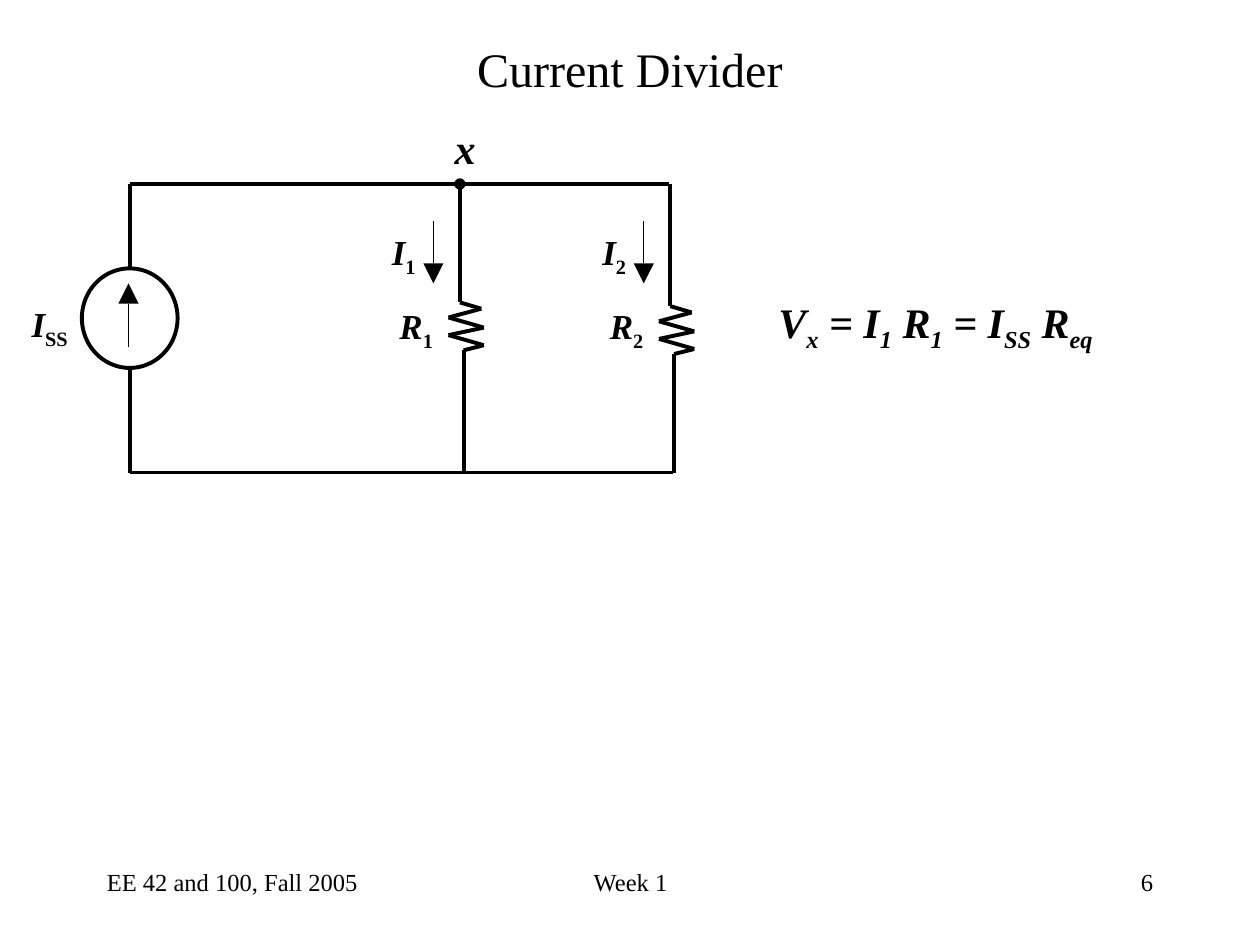
from itertools import pairwise

from lxml import etree
from pptx import Presentation
from pptx import util as u
from pptx.dml.color import RGBColor
from pptx.enum import shapes, text
from pptx.oxml.ns import qn

FONT = "Times New Roman"
BLACK, WHITE = "000000", "FFFFFF"
HEAVY, THIN = 2.25, 0.75
TOP, BOTTOM = 1.46, 3.75
SOURCE_X = 1.03
BRANCH_STEP = 1.67
ZIGZAG = [(3.65, 2.21), (3.65, 2.4), (3.82, 2.45), (3.56, 2.52), (3.84, 2.6),
          (3.56, 2.66), (3.84, 2.74), (3.68, 2.78), (3.68, 2.98)]


def color(value):
    return RGBColor.from_string(value)


def inches(*values):
    return [u.Inches(value) for value in values]


def paint(shape, fill, width):
    shape.shadow.inherit = False
    shape.fill.solid()
    shape.fill.fore_color.rgb = color(fill)
    if width:
        shape.line.color.rgb = color(BLACK)
        shape.line.width = u.Pt(width)
    else:
        shape.line.fill.background()


def style(paragraph, size, bold=False, align=text.PP_ALIGN.LEFT):
    paragraph.alignment = align
    paragraph.font.name = FONT
    paragraph.font.size = u.Pt(size)
    paragraph.font.bold = bold
    paragraph.font.color.rgb = color(BLACK)


def add_line(parent, start, end, width=HEAVY):
    line = parent.shapes.add_connector(
        shapes.MSO_CONNECTOR.STRAIGHT, *inches(*start, *end))
    line.line.color.rgb = color(BLACK)
    line.line.width = u.Pt(width)
    etree.SubElement(line._element.spPr, qn("a:effectLst"))


def add_circle(slide, box, fill, width):
    circle = slide.shapes.add_shape(shapes.MSO_SHAPE.OVAL, *inches(*box))
    paint(circle, fill, width)


def add_resistor(slide, dx, dy):
    group = slide.shapes.add_group_shape()
    points = [(x + dx, y + dy) for x, y in ZIGZAG]
    for start, end in pairwise(points):
        add_line(group, start, end)


def add_current_arrow(slide, x, tail, tip):
    group = slide.shapes.add_group_shape()
    base = tip - 0.16 if tip > tail else tip + 0.16
    add_line(group, (x, tail), (x, base), THIN)
    builder = group.shapes.build_freeform(*inches(x - 0.08, base), scale=1.0)
    builder.add_line_segments([inches(x, tip), inches(x + 0.08, base)], close=True)
    paint(builder.convert_to_shape(), BLACK, None)


def add_text_box(slide, box, margins=(0.1, 0.05), wrap=True):
    frame = slide.shapes.add_textbox(*inches(*box)).text_frame
    frame.word_wrap = wrap
    frame.margin_left = frame.margin_right = u.Inches(margins[0])
    frame.margin_top = frame.margin_bottom = u.Inches(margins[1])
    return frame


def add_symbols(frame, parts, size, italic_subscripts=False):
    """Write parts that alternate between italic symbols and subscripts."""
    paragraph = frame.paragraphs[0]
    style(paragraph, size, bold=True)
    for index, part in enumerate(parts):
        run = paragraph.add_run()
        run.text = part
        subscript = index % 2 == 1
        run.font.italic = italic_subscripts or not subscript
        if subscript:
            run._r.get_or_add_rPr().set("baseline", "-25000")


def add_label(slide, box, symbol, subscript):
    frame = add_text_box(slide, box, margins=(0, 0), wrap=False)
    add_symbols(frame, [symbol, subscript], 20)


def add_title(slide, title):
    shape = slide.shapes.title
    shape.left, shape.top, shape.width, shape.height = inches(0.5, 0.25, 9, 0.58)
    frame = shape.text_frame
    frame.text = title
    frame.auto_size = text.MSO_AUTO_SIZE.NONE
    frame.vertical_anchor = text.MSO_ANCHOR.MIDDLE
    style(frame.paragraphs[0], 27.5, align=text.PP_ALIGN.CENTER)


def add_footer(slide, left, width, words, align):
    paragraph = add_text_box(slide, (left, 6.83, width, 0.5)).paragraphs[0]
    paragraph.text = words
    style(paragraph, 14, align=align)


def add_source(slide):
    add_line(slide, (SOURCE_X, TOP), (SOURCE_X, BOTTOM))
    add_circle(slide, (0.65, 2.13, 0.76, 0.79), WHITE, HEAVY)
    add_current_arrow(slide, 1.02, 2.75, 2.25)
    add_label(slide, (0.25, 2.4, 0.29, 0.38), "I", "SS")


def add_branch(slide, number, dx, dy):
    add_line(slide, (3.65 + dx, TOP), (3.65 + dx, 2.28))
    add_resistor(slide, dx, dy)
    add_line(slide, (3.68 + dx, 2.97), (3.68 + dx, BOTTOM))
    add_current_arrow(slide, 3.44 + dx, 1.75, 2.25)
    add_label(slide, (3.11 + dx, 1.83, 0.19, 0.38), "I", number)
    add_label(slide, (3.17 + dx, 2.42, 0.27, 0.38), "R", number)


def main():
    presentation = Presentation()
    presentation.slide_width, presentation.slide_height = inches(10, 7.5)
    slide = presentation.slides.add_slide(presentation.slide_layouts[5])
    add_title(slide, "Current Divider")

    add_source(slide)
    add_line(slide, (SOURCE_X, TOP), (5.31, TOP))
    add_line(slide, (SOURCE_X, BOTTOM), (5.34, BOTTOM))
    add_branch(slide, "1", 0, 0)
    add_branch(slide, "2", BRANCH_STEP, 0.03)
    add_circle(slide, (3.61, 1.42, 0.08, 0.08), BLACK, THIN)
    add_symbols(add_text_box(slide, (3.51, 0.92, 0.36, 0.5), wrap=False), ["x"], 24)

    formula = add_text_box(slide, (6.08, 2.3, 3, 0.56))
    formula.vertical_anchor = text.MSO_ANCHOR.MIDDLE
    add_symbols(formula, ["V", "x", " = I", "1", " R", "1", " = I", "SS", " R", "eq"],
                24, italic_subscripts=True)

    add_footer(slide, 0.75, 2.33, "EE 42 and 100, Fall 2005", text.PP_ALIGN.LEFT)
    add_footer(slide, 3.42, 3.17, "Week 1", text.PP_ALIGN.CENTER)
    add_footer(slide, 7.17, 2.08, "6", text.PP_ALIGN.RIGHT)
    presentation.save("out.pptx")


if __name__ == "__main__":
    main()
